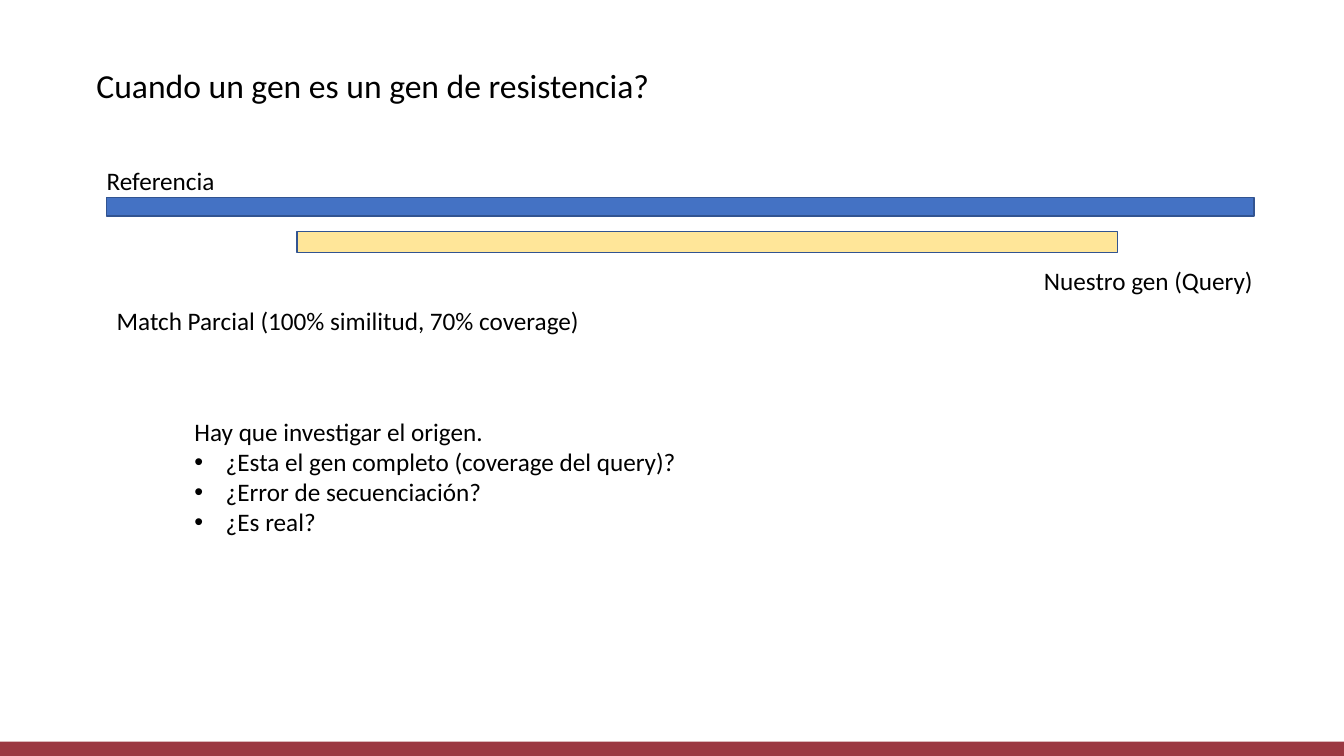
from pptx import Presentation
from pptx import util as u
from pptx.dml.color import RGBColor
from pptx.enum import shapes, text
from pptx.oxml.ns import qn
from lxml import etree

BLACK = RGBColor(0x00, 0x00, 0x00)
MAROON = RGBColor(0x9B, 0x38, 0x42)
BLUE = RGBColor(0x44, 0x72, 0xC4)
YELLOW = RGBColor(0xFF, 0xE6, 0x99)
OUTLINE = RGBColor(0x32, 0x54, 0x91)
FONT = "Calibri"
WIDTH, HEIGHT = 33.87, 19.05
LINE_H = 1.02


def add_bullet(p, indent=0.79):
    pPr = p._p.get_or_add_pPr()
    pPr.set("marL", str(u.Cm(indent)))
    pPr.set("indent", str(-u.Cm(indent)))
    etree.SubElement(pPr, qn("a:buFont")).set("typeface", "Arial")
    etree.SubElement(pPr, qn("a:buChar")).set("char", "•")


def add_text(s, lines, x, y, w, h=LINE_H, size=18, bullets_from=None):
    tf = s.shapes.add_textbox(u.Cm(x), u.Cm(y), u.Cm(w), u.Cm(h)).text_frame
    tf.word_wrap = False
    tf.auto_size = text.MSO_AUTO_SIZE.SHAPE_TO_FIT_TEXT
    for i, line in enumerate(lines):
        p = tf.paragraphs[0] if i == 0 else tf.add_paragraph()
        if bullets_from is not None and i >= bullets_from:
            add_bullet(p)
        r = p.add_run()
        r.text = line
        r.font.name = FONT
        r.font.size = u.Pt(size)
        r.font.color.rgb = BLACK


def add_bar(s, x, y, w, h, fill, line=None):
    sp = s.shapes.add_shape(shapes.MSO_SHAPE.RECTANGLE,
                            u.Cm(x), u.Cm(y), u.Cm(w), u.Cm(h))
    sp.shadow.inherit = False
    sp.fill.solid()
    sp.fill.fore_color.rgb = fill
    if line is None:
        sp.line.fill.background()
    else:
        sp.line.color.rgb = line
        sp.line.width = u.Pt(1)


def add_footer(s, h=0.36):
    add_bar(s, 0, HEIGHT - h, WIDTH, h, MAROON)


def add_title(s, x, y, w, h):
    add_text(s, ["Cuando un gen es un gen de resistencia?"], x, y, w, h, size=24)


def add_alignment(s, x, y, w):
    add_bar(s, x, y + 0.94, w, 0.46, BLUE, OUTLINE)
    add_bar(s, x + 4.8, y + 1.8, 20.68, 0.53, YELLOW, OUTLINE)
    add_text(s, ["Referencia"], x - 0.25, y, 3.25)
    query_w = 5.84
    add_text(s, ["Nuestro gen (Query)"], x + w + 0.3 - query_w, y + 2.51, query_w)
    add_text(s, ["Match Parcial (100% similitud, 70% coverage)"], x, y + 3.53, 12.29)


def add_questions(s, x, y, w, h):
    add_text(s, ["Hay que investigar el origen.",
                 "¿Esta el gen completo (coverage del query)?",
                 "¿Error de secuenciación?",
                 "¿Es real?"], x, y, w, h, bullets_from=1)


def main():
    prs = Presentation()
    prs.slide_width, prs.slide_height = u.Cm(WIDTH), u.Cm(HEIGHT)
    s = prs.slides.add_slide(prs.slide_layouts[6])
    add_footer(s)
    add_title(s, 2.18, 1.52, 18.75, 1.27)
    add_alignment(s, 2.69, 4.04, 28.91)
    add_questions(s, 4.65, 10.36, 12.95, 3.33)
    prs.save("out.pptx")


if __name__ == "__main__":
    main()
